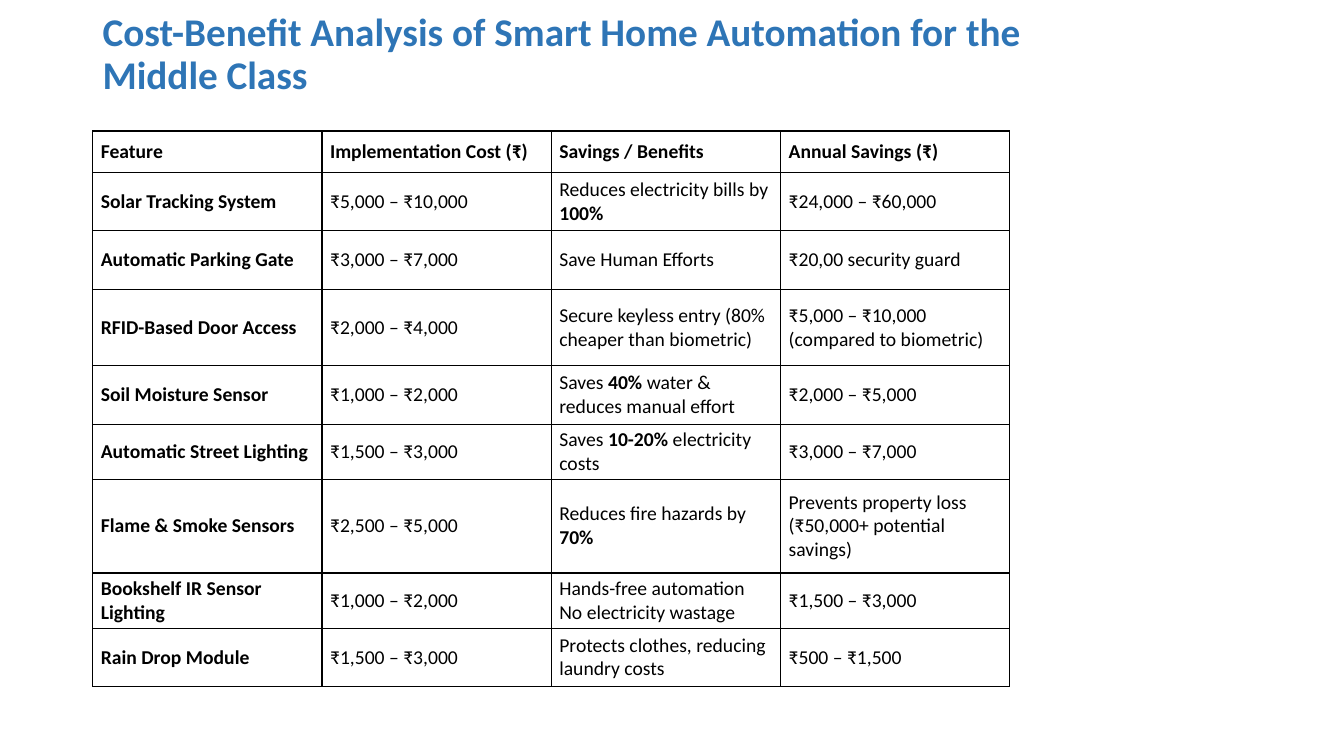
"""Build the cost-benefit slide for smart home automation."""
from dataclasses import dataclass

from lxml.etree import SubElement
from pptx import Presentation
from pptx.dml.color import RGBColor
from pptx.enum.text import MSO_ANCHOR
from pptx.oxml.ns import qn
from pptx.slide import Slide
from pptx.table import _Cell
from pptx.text.text import _Paragraph
from pptx.util import Inches, Pt

BLUE = RGBColor(0x2E, 0x75, 0xB6)
BLACK = RGBColor(0x00, 0x00, 0x00)
WIDTH, HEIGHT = Inches(13.33), Inches(7.5)
LEFT, TITLE_TOP, TABLE_TOP = 6.9, 5.33, 17.33
TITLE_WIDTH, TITLE_HEIGHT, COLUMN = 71.57, 4, 17.06
LOW, MEDIUM, TALL, TALLEST = 5.47, 7.73, 10.13, 12.4
TITLE_FORMAT = {"name": "Calibri", "size": Pt(28), "bold": True}
CELL_FORMAT = {"name": "Calibri", "size": Pt(14)}
CELL_LAYOUT = {
    "vertical_anchor": MSO_ANCHOR.MIDDLE,
    "margin_left": Inches(0.08), "margin_right": Inches(0.08),
    "margin_top": Inches(0.04), "margin_bottom": Inches(0.04),
}
TITLE = "Cost-Benefit Analysis of Smart Home Automation for the Middle Class"


@dataclass
class Row:
    """A table row, its height in percent; ** encloses bold text."""
    height: float
    feature: str
    cost: str
    benefit: str
    savings: str

    def texts(self) -> list[str]:
        """Return the cell texts from left to right."""
        return [f"**{self.feature}**", self.cost, self.benefit, self.savings]


ROWS = [
    Row(LOW, "Feature", "**Implementation Cost (₹)**", "**Savings / Benefits**",
        "**Annual Savings (₹)**"),
    Row(MEDIUM, "Solar Tracking System", "₹5,000 – ₹10,000",
        "Reduces electricity bills by **100%**", "₹24,000 – ₹60,000"),
    Row(MEDIUM, "Automatic Parking Gate", "₹3,000 – ₹7,000",
        "Save Human Efforts", "₹20,00 security guard"),
    Row(TALL, "RFID-Based Door Access", "₹2,000 – ₹4,000",
        "Secure keyless entry (80% cheaper than biometric)",
        "₹5,000 – ₹10,000 (compared to biometric)"),
    Row(MEDIUM, "Soil Moisture Sensor", "₹1,000 – ₹2,000",
        "Saves **40%** water & reduces manual effort", "₹2,000 – ₹5,000"),
    Row(LOW, "Automatic Street Lighting", "₹1,500 – ₹3,000",
        "Saves **10-20%** electricity costs", "₹3,000 – ₹7,000"),
    Row(TALLEST, "Flame & Smoke Sensors", "₹2,500 – ₹5,000",
        "Reduces fire hazards by **70%**",
        "Prevents property loss (₹50,000+ potential savings)"),
    Row(LOW, "Bookshelf IR Sensor Lighting", "₹1,000 – ₹2,000",
        "Hands-free automation\nNo electricity wastage", "₹1,500 – ₹3,000"),
    Row(MEDIUM, "Rain Drop Module", "₹1,500 – ₹3,000",
        "Protects clothes, reducing laundry costs", "₹500 – ₹1,500"),
]


def across(percent: float) -> int:
    """Return a share of the slide width."""
    return round(WIDTH * percent / 100)


def down(percent: float) -> int:
    """Return a share of the slide height."""
    return round(HEIGHT * percent / 100)


def add_run(p: _Paragraph, text: str, color: RGBColor, values: dict) -> None:
    """Add a formatted run to a paragraph."""
    r = p.add_run()
    r.text = text
    for name, value in values.items():
        setattr(r.font, name, value)
    r.font.color.rgb = color


def add_borders(cell: _Cell) -> None:
    """Draw a thin black line on each side of a cell."""
    tc_pr = cell._tc.get_or_add_tcPr()
    for i, side in enumerate(("a:lnL", "a:lnR", "a:lnT", "a:lnB")):
        ln = tc_pr.makeelement(qn(side), {"w": str(Pt(1))})
        fill = SubElement(ln, qn("a:solidFill"))
        SubElement(fill, qn("a:srgbClr"), val=str(BLACK))
        tc_pr.insert(i, ln)


def fill_cell(cell: _Cell, text: str) -> None:
    """Write and format one table cell."""
    for name, value in CELL_LAYOUT.items():
        setattr(cell, name, value)
    cell.fill.background()
    add_borders(cell)
    tf = cell.text_frame
    for n, line in enumerate(text.split("\n")):
        p = tf.add_paragraph() if n else tf.paragraphs[0]
        for i, part in enumerate(line.split("**")):
            if part:
                add_run(p, part, BLACK, CELL_FORMAT | {"bold": i % 2 == 1})


def add_title(s: Slide) -> None:
    """Add the slide title."""
    sp = s.shapes.add_textbox(across(LEFT), down(TITLE_TOP),
                              across(TITLE_WIDTH), down(TITLE_HEIGHT))
    tf = sp.text_frame
    tf.word_wrap = True
    tf.vertical_anchor = MSO_ANCHOR.MIDDLE
    p = tf.paragraphs[0]
    p.line_spacing = 0.9
    add_run(p, TITLE, BLUE, TITLE_FORMAT)


def add_cost_table(s: Slide) -> None:
    """Add the table of costs and savings."""
    columns = len(ROWS[0].texts())
    table = s.shapes.add_table(
        len(ROWS), columns, across(LEFT), down(TABLE_TOP),
        across(COLUMN * columns), down(sum(row.height for row in ROWS))).table
    table.first_row = table.horz_banding = False
    for column in table.columns:
        column.width = across(COLUMN)
    for i, row in enumerate(ROWS):
        table.rows[i].height = down(row.height)
        for j, text in enumerate(row.texts()):
            fill_cell(table.cell(i, j), text)


def main() -> None:
    """Build and save the slide."""
    prs = Presentation()
    prs.slide_width, prs.slide_height = WIDTH, HEIGHT
    s = prs.slides.add_slide(prs.slide_layouts[6])
    add_title(s)
    add_cost_table(s)
    prs.save("out.pptx")


if __name__ == "__main__":
    main()
